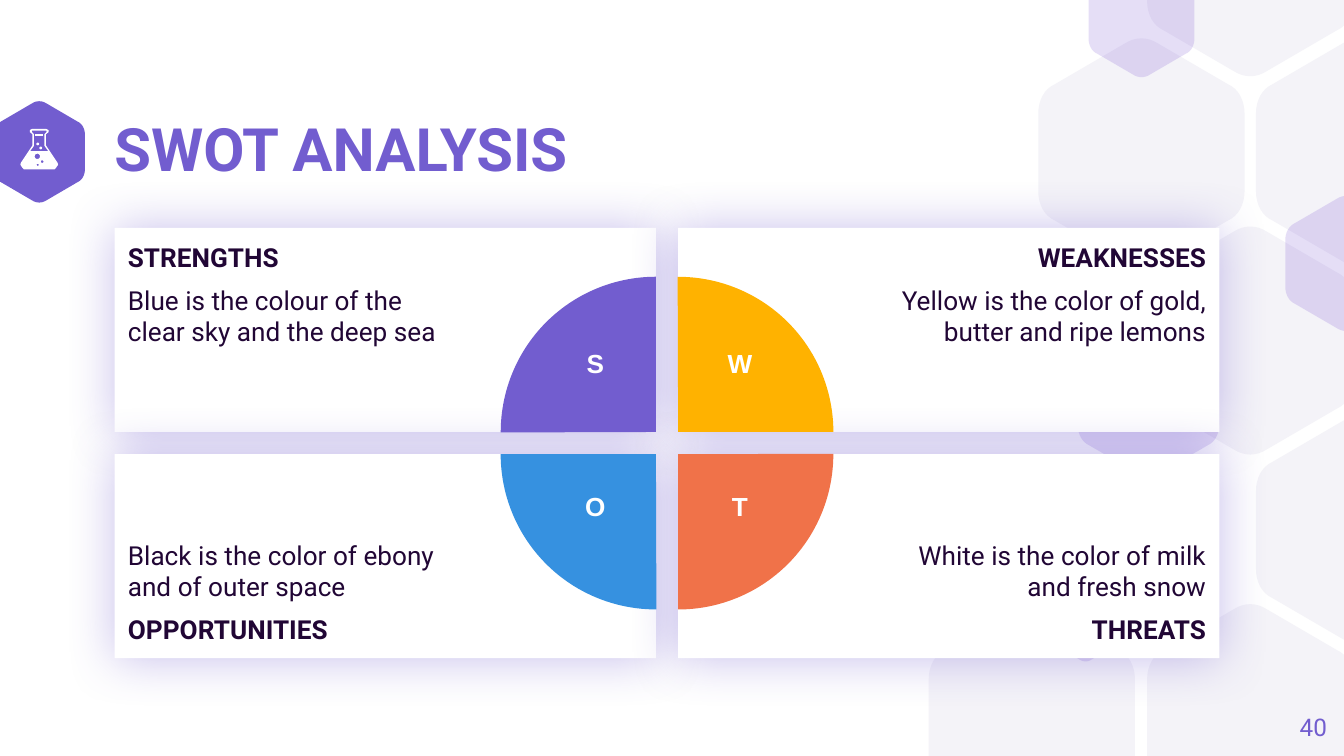
from math import cos, pi, sin

from lxml.etree import SubElement as Sub
from pptx import Presentation
from pptx.dml.color import RGBColor as Rgb
from pptx.enum.shapes import MSO_SHAPE as Shape
from pptx.enum.text import MSO_ANCHOR as Anchor, PP_ALIGN as Align
from pptx.oxml.ns import qn
from pptx.util import Inches, Pt

UNIT = Inches(0.1)  # grid: 100 columns by 56.25 rows
COLS, ROWS = 100, 56.25
INK = {
    "main": "725DCF", "pale": "F4F3F8", "tint": "5322C9", "text": "210635",
    "white": "FFFFFF", "gold": "FFB200", "coral": "F07249", "blue": "3691E0",
}


def grid(*nums):
    return [round(n * UNIT) for n in nums]


def paint(shape, ink, alpha=None):
    shape.shadow.inherit = False
    shape.fill.solid()
    shape.fill.fore_color.rgb = Rgb.from_string(INK[ink])
    shape.line.fill.background()
    if alpha:
        tone = shape._element.spPr.find(qn("a:solidFill"))[0]
        Sub(tone, qn("a:alpha"), val=str(alpha * 1000))
    return shape


def draw(slide, rings, ink, alpha=None):
    """Fill one outline made of closed rings of grid points."""
    rings = [[grid(*p) for p in ring] for ring in rings]
    pen = slide.shapes.build_freeform(*rings[0][0], scale=1.0)
    for i, ring in enumerate(rings):
        if i:
            pen.move_to(*ring[0])
        pen.add_line_segments(ring[1:], close=True)
    return paint(pen.convert_to_shape(), ink, alpha)


def write(par, text, size, ink, bold=False, face="Roboto", align=Align.LEFT):
    par.alignment = align
    run = par.add_run()
    run.text = text
    font = run.font
    font.name, font.size, font.bold = face, Pt(size), bold
    font.color.rgb = Rgb.from_string(INK[ink])


def frame(shape, pads, anchor):
    tf = shape.text_frame
    tf.word_wrap = True
    tf.vertical_anchor = anchor
    (tf.margin_left, tf.margin_top,
     tf.margin_right, tf.margin_bottom) = grid(*pads)
    return tf


def label(slide, box, text, size, ink, pads=(0, 0, 0, 0),
          anchor=Anchor.MIDDLE, **look):
    area = slide.shapes.add_textbox(*grid(*box))
    par = frame(area, pads, anchor).paragraphs[0]
    write(par, text, size, ink, **look)
    return par


# Hexagons with rounded corners
def curve(a, b, c, d, steps=8):
    for i in range(steps + 1):
        t = i / steps
        s = 1 - t
        yield tuple(s**3 * p + 3 * s * s * t * q + 3 * s * t * t * r + t**3 * v
                    for p, q, r, v in zip(a, b, c, d))


def hexa(slide, box, ink, alpha=None):
    x, y, w, h = box
    side = list(curve((1, .33), (1, .27), (.97, .22), (.92, .2)))
    tip = list(curve((.58, .02), (.53, -.01), (.47, -.01), (.42, .02)))
    top = side + tip + [(1 - p, q) for p, q in reversed(side)]
    ring = top + [(1 - p, 1 - q) for p, q in top]
    ring = [(x + p * w, min(max(y + q * h, 0), ROWS)) for p, q in ring]
    draw(slide, [ring], ink, alpha)


def comb(slide):
    def cells(spots, ink, alpha=None):
        for x, y, w in spots:
            hexa(slide, (x, y, w, w * 1.1), ink, alpha)

    big = 15.35
    cells([(69.1, 45, big), (85.35, 45, big), (93.45, 2.9, big),
           (85.35, -11.25, big), (85.35, 16.9, big), (77.25, 2.9, big)],
          "pale")
    cells([(95.63, 14.6, 9.1), (78, 43.1, 5.55), (81, -2.93, 7.87),
           (80.2, 23.9, 10.5)], "tint", 15)
    cells([(93.45, 31, big)], "pale")


# Flask icon
def flask(slide, box):
    x, y, w, h = box

    def at(p, q):
        return x + p * w, y + q * h

    def ball(p, q, r):
        mid = at(p, q)
        return [(mid[0] + r * cos(k * pi / 8), mid[1] + r * sin(k * pi / 8))
                for k in range(16)]

    def even(half):
        return ([at(*p) for p in half]
                + [at(1 - p, q) for p, q in reversed(half)])

    body = even([(.31, 0), (.25, .03), (.25, .08), (.32, .13), (.32, .41),
                 (.01, .84), (0, .89), (.05, .96), (.09, 1)])
    neck = even([(.31, .04), (.3, .07), (.36, .13), (.36, .42), (.26, .55)])
    holes = [ball(.45, .68, .2), ball(.58, .81, .1), ball(.46, .89, .08)]
    draw(slide, [body, neck] + holes, "white")
    for spot in [(.54, .47, .1), (.46, .37, .1)]:
        draw(slide, [ball(*spot)], "white")
    draw(slide, [even([(.4, .13), (.4, .17)])], "white")


# One quadrant: card, pie slice and letter
def card(slide, box, col, row, head, body):
    rect = paint(slide.shapes.add_shape(Shape.RECTANGLE, *grid(*box)), "white")
    fx = rect._element.spPr.find(qn("a:effectLst"))
    glow = Sub(fx, qn("a:outerShdw"), blurRad=str(Pt(27)), dist="0",
               algn="ctr", rotWithShape="0")
    tone = Sub(glow, qn("a:srgbClr"), val=INK["main"])
    Sub(tone, qn("a:alpha"), val="40000")

    pads = (15, 1, 1, 1) if col else (1, 1, 15, 1)
    tf = frame(rect, pads, Anchor.BOTTOM if row else Anchor.TOP)
    lines = [(head, True), (body, False)]
    for i, (text, bold) in enumerate(reversed(lines) if row else lines):
        par = tf.add_paragraph() if i else tf.paragraphs[0]
        if i:
            par.space_before = par.space_after = Pt(6)
        write(par, text, 14, "text", bold,
              align=Align.RIGHT if col else Align.LEFT)


def wedge(slide, hub, col, row, ink):
    x, y = hub
    size = 23.1
    box = grid(x - size / 2, y - size / 2, size, size)
    pie = paint(slide.shapes.add_shape(Shape.PIE, *box), ink)
    pie.adjustments[0], pie.adjustments[1] = 107.89, 162
    pie.rotation = [[0, 90], [270, 180]][row][col]


def letter(slide, hub, col, row, mark):
    x, y = hub
    w, h = 5.6, 4.4
    left = x + (4.6 if col else -4.5) - w / 2
    top = y + (2.2 if row else -2.4 - h)
    label(slide, (left, top, w, h), mark, 14, "white", (1, 0.5, 1, 0.5),
          Anchor.TOP, bold=True, face="Arial", align=Align.CENTER)


def swot(slide, box, items):
    x, y, w, h = box
    gap = 1.65
    cw, ch = (w - gap) / 2, (h - gap) / 2
    spots = [(i % 2, i // 2) for i in range(4)]
    hubs = [(x + cw + c * gap, y + ch + r * gap) for c, r in spots]
    for (col, row), (_, _, head, body) in zip(spots, items):
        area = (x + col * (cw + gap), y + row * (ch + gap), cw, ch)
        card(slide, area, col, row, head, body)
    for hub, (col, row), item in zip(hubs, spots, items):
        wedge(slide, hub, col, row, item[1])
    for hub, (col, row), item in zip(hubs, spots, items):
        letter(slide, hub, col, row, item[0])


def header(slide, box, text):
    x, y, w, h = box
    hexa(slide, (x, y, 6.8, h), "main")
    par = label(slide, (x + 9, y + 1.6, w - 9, 4.3), text, 32, "main",
                bold=True)
    par.line_spacing = 0.9
    flask(slide, (x + 2, y + 2.05, 2.8, 3))


def main():
    deck = Presentation()
    deck.slide_width, deck.slide_height = grid(COLS, ROWS)
    slide = deck.slides.add_slide(deck.slide_layouts[6])
    comb(slide)
    header(slide, (-0.48, 7.55, 74.7, 7.5), "SWOT ANALYSIS")
    label(slide, (92.73, 51.95, 6, 4.3), "40", 13, "main", align=Align.RIGHT)
    swot(slide, (8.53, 16.97, 82.2, 32), [
        ("S", "main", "STRENGTHS",
         "Blue is the colour of the clear sky and the deep sea"),
        ("W", "gold", "WEAKNESSES",
         "Yellow is the color of gold, butter and ripe lemons"),
        ("O", "blue", "OPPORTUNITIES",
         "Black is the color of ebony and of outer space"),
        ("T", "coral", "THREATS",
         "White is the color of milk and fresh snow"),
    ])
    deck.save("out.pptx")


if __name__ == "__main__":
    main()
